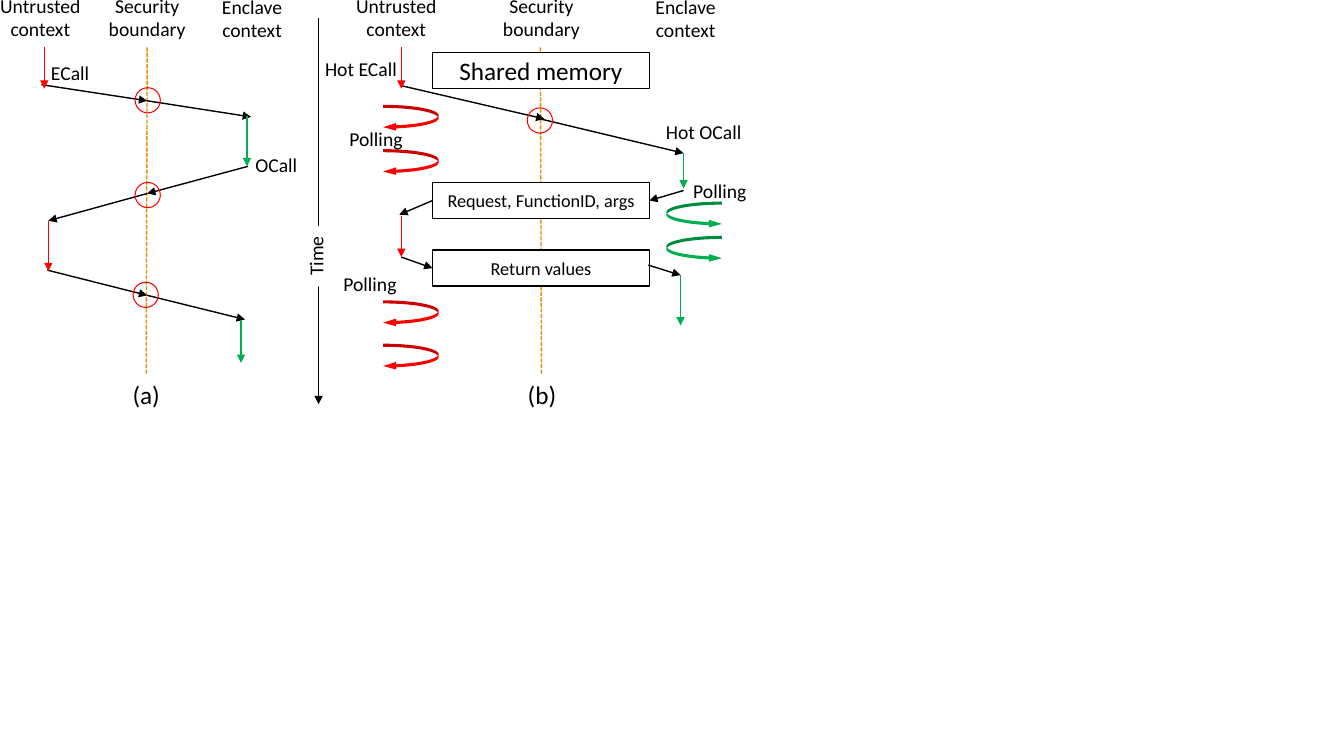
from dataclasses import dataclass

from lxml import etree
from pptx import Presentation, util as u
from pptx.dml import color
from pptx.enum import dml, shapes, text
from pptx.oxml import ns

BLACK, WHITE, RED, GREEN, ORANGE = "000000", "FFFFFF", "FF0000", "00B050", "F28A00"
LABEL_SIZE, BOX_SIZE, LARGE_SIZE = 14, 13, 18
LABEL_FRAME = {"word_wrap": False, "auto_size": text.MSO_AUTO_SIZE.SHAPE_TO_FIT_TEXT}
HEADING_FRAME = {**LABEL_FRAME, "word_wrap": True}
BOX_FRAME = {"word_wrap": True, "vertical_anchor": text.MSO_ANCHOR.MIDDLE}


def apply(target, formats):
    """Set every attribute in formats on target."""
    for name, value in formats.items():
        setattr(target, name, value)


def paint(part, hex_color):
    """Give a fill, or the fill of a font or line, a solid colour."""
    part.solid()
    part.fore_color.rgb = color.RGBColor.from_string(hex_color)


def write(frame, lines, size, formats):
    """Write centred lines of black Calibri into a text frame."""
    apply(frame, formats)
    for index, line in enumerate(lines):
        paragraph = frame.add_paragraph() if index else frame.paragraphs[0]
        paragraph.alignment = text.PP_ALIGN.CENTER
        run = paragraph.add_run()
        run.text = line
        apply(run.font, {"name": "Calibri", "size": u.Pt(size)})
        paint(run.font.fill, BLACK)


@dataclass
class Region:
    """A part of the slide whose contents are placed from its left top corner."""
    tree: object
    left: float
    top: float

    def place(self, x, y):
        """Turn region coordinates into slide lengths."""
        return u.Inches(self.left + x), u.Inches(self.top + y)

    def line(self, start, end, hex_color=BLACK, dashed=False):
        """Draw an arrow, or a dashed line without a head."""
        connector = self.tree.add_connector(
            shapes.MSO_CONNECTOR.STRAIGHT, *self.place(*start), *self.place(*end))
        paint(connector.line.fill, hex_color)
        connector.line.width = u.Pt(1)
        if dashed:
            connector.line.dash_style = dml.MSO_LINE.SQUARE_DOT
        else:
            outline = connector.line._get_or_add_ln()
            etree.SubElement(outline, ns.qn("a:tailEnd"), type="triangle")
        etree.SubElement(connector.element.spPr, ns.qn("a:effectLst"))

    def shape(self, kind, box, fill=None, outline=None, weight=1):
        """Add a preset shape without shadow."""
        x, y, width, height = box
        shape = self.tree.add_shape(kind, *self.place(x, y), u.Inches(width), u.Inches(height))
        shape.shadow.inherit = False
        for part, hex_color in ((shape.fill, fill), (shape.line.fill, outline)):
            if hex_color:
                paint(part, hex_color)
            else:
                part.background()
        if outline:
            shape.line.width = u.Pt(weight)
        return shape

    def label(self, lines, x, y, width, height=0.34, size=LABEL_SIZE, formats=LABEL_FRAME):
        """Add a free text label."""
        label = self.tree.add_textbox(*self.place(x, y), u.Inches(width), u.Inches(height))
        write(label.text_frame, lines, size, formats)

    def headings(self, centers):
        """Name the three columns at their centre lines."""
        names = ("Untrusted", "context"), ("Security", "boundary"), ("Enclave", "context")
        for lines, center, y in zip(names, centers, (-0.11, -0.11, -0.1)):
            self.label(lines, center - 0.645, y, 1.29, 0.57, formats=HEADING_FRAME)

    def crossing(self, x, y):
        """Circle a point where a call crosses the security boundary."""
        self.shape(shapes.MSO_SHAPE.OVAL, (x, y, 0.25, 0.25), outline=RED, weight=0.75)

    def memory_box(self, caption, y, size=BOX_SIZE):
        """Draw a box of shared memory across the boundary."""
        box = self.shape(shapes.MSO_SHAPE.RECTANGLE, (1.13, y, 2.15, 0.36), WHITE, BLACK)
        write(box.text_frame, [caption], size, BOX_FRAME)

    def polling_loop(self, x, y, hex_color, flipped=False):
        """Draw the curved arrow of one polling turn."""
        loop = self.shape(shapes.MSO_SHAPE.CURVED_LEFT_ARROW, (x, y, 0.55, 0.26), hex_color)
        for index, value in enumerate((0.119, 0.293, 0.499)):
            loop.adjustments[index] = value
        if flipped:
            loop.element.spPr.find(ns.qn("a:xfrm")).set("flipH", "1")


def draw_time_axis(region):
    """Draw the time arrow between the panels."""
    region.line((0, 0), (0, 3.83))
    time = region.shape(shapes.MSO_SHAPE.RECTANGLE, (-0.33, 2.19, 0.6, 0.34), WHITE)
    time.rotation = 270
    write(time.text_frame, ["Time"], LABEL_SIZE, LABEL_FRAME)


def draw_direct_calls(region):
    """Draw panel (a), where each call crosses the boundary."""
    region.line((1.46, 0.47), (1.45, 3.71), ORANGE, dashed=True)
    region.headings((0.4, 1.46, 2.5))
    for start, middle, end in (((0.41, 0.84), (1.46, 1), (2.49, 1.16)),
                               ((2.46, 1.65), (1.46, 1.92), (0.48, 2.19)),
                               ((0.47, 2.68), (1.46, 2.93), (2.43, 3.17))):
        region.line(start, middle)
        region.line(middle, end)
    for x, y, end, hex_color in ((0.44, 0.47, 0.88, RED), (2.45, 1.15, 1.65, GREEN),
                                 (0.48, 2.19, 2.69, RED), (2.39, 3.17, 3.6, GREEN)):
        region.line((x, y), (x, end), hex_color)
    for x, y in ((1.34, 0.87), (1.34, 1.81), (1.32, 2.8)):
        region.crossing(x, y)
    region.label(["ECall"], 0.4, 0.56, 0.59)
    region.label(["OCall"], 2.43, 1.47, 0.62)
    region.label(["(a)"], 1.21, 3.71, 0.48, 0.4, LARGE_SIZE)


def draw_hot_calls(region):
    """Draw panel (b), where calls pass through shared memory."""
    region.line((2.2, 0.47), (2.21, 3.71), ORANGE, dashed=True)
    region.headings((0.77, 2.21, 3.64))
    for caption, y, size in (("Shared memory", 0.52, LARGE_SIZE),
                             ("Request, FunctionID, args", 1.81, BOX_SIZE),
                             ("Return values", 2.48, BOX_SIZE)):
        region.memory_box(caption, y, size)
    for start, end in (((0.82, 0.85), (2.24, 1.18)), ((2.2, 1.18), (3.62, 1.52)),
                       ((3.62, 1.89), (3.28, 1.99)), ((1.13, 1.99), (0.8, 2.13)),
                       ((0.82, 2.55), (1.13, 2.66)), ((3.27, 2.63), (3.59, 2.73))):
        region.line(start, end)
    for x, y, end, hex_color in ((0.82, 0.47, 0.88, RED), (3.62, 1.52, 1.87, GREEN),
                                 (0.82, 2.14, 2.55, RED), (3.59, 2.73, 3.23, GREEN)):
        region.line((x, y), (x, end), hex_color)
    for y in (2, 2.34):
        region.polling_loop(3.45, y, GREEN, flipped=True)
    for y in (1.04, 1.48, 2.98, 3.41):
        region.polling_loop(0.64, y, RED)
    for x, y in ((0.2, 1.21), (0.14, 2.65), (3.61, 1.73)):
        region.label(["Polling"], x, y, 0.74)
    region.label(["Hot ECall"], -0.04, 0.52, 0.92)
    region.label(["Hot OCall"], 3.34, 1.14, 0.96)
    region.crossing(2.07, 1.07)
    region.label(["(b)"], 1.97, 3.71, 0.49, 0.4, LARGE_SIZE)


def main():
    """Build the slide and save it."""
    deck = Presentation()
    apply(deck, {"slide_width": u.Inches(13.33), "slide_height": u.Inches(7.5)})
    tree = deck.slides.add_slide(deck.slide_layouts[6]).shapes
    draw_time_axis(Region(tree, 3.16, 0.18))
    draw_direct_calls(Region(tree, 0, 0))
    draw_hot_calls(Region(tree, 3.16, 0))
    deck.save("out.pptx")


main()
